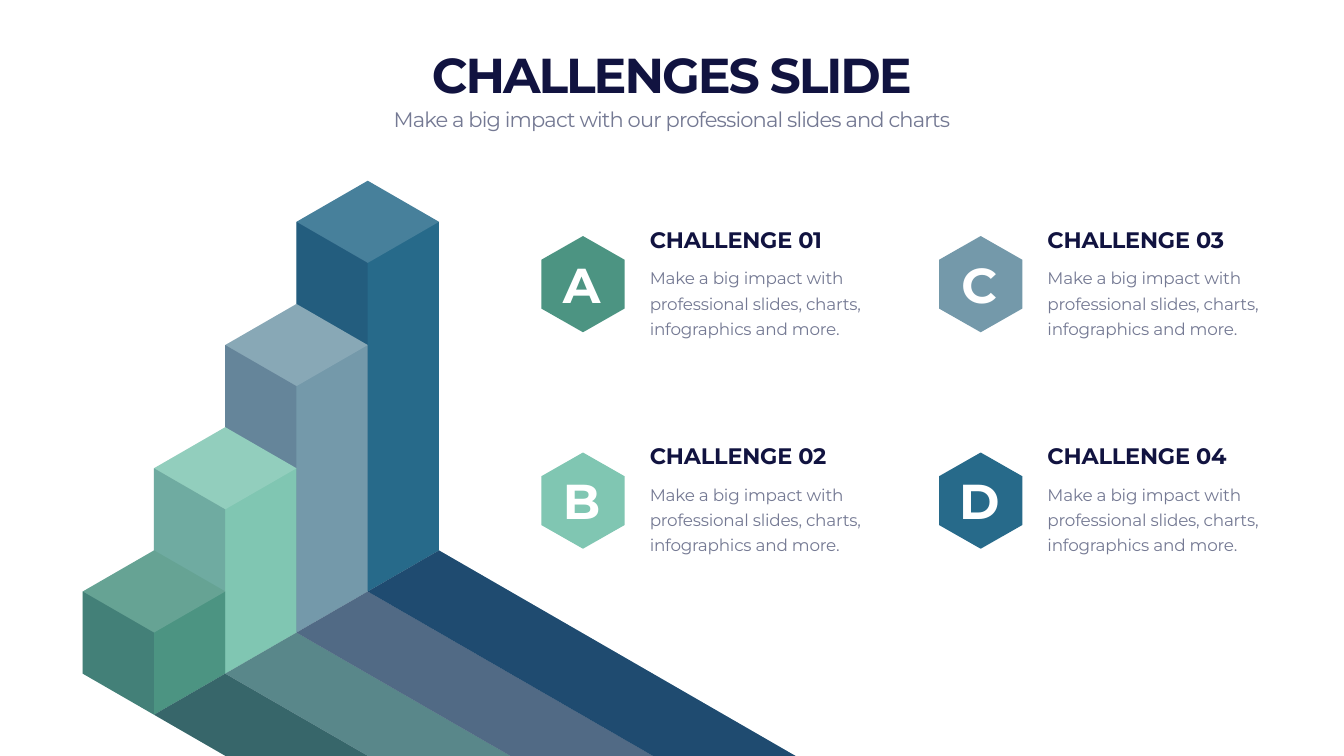
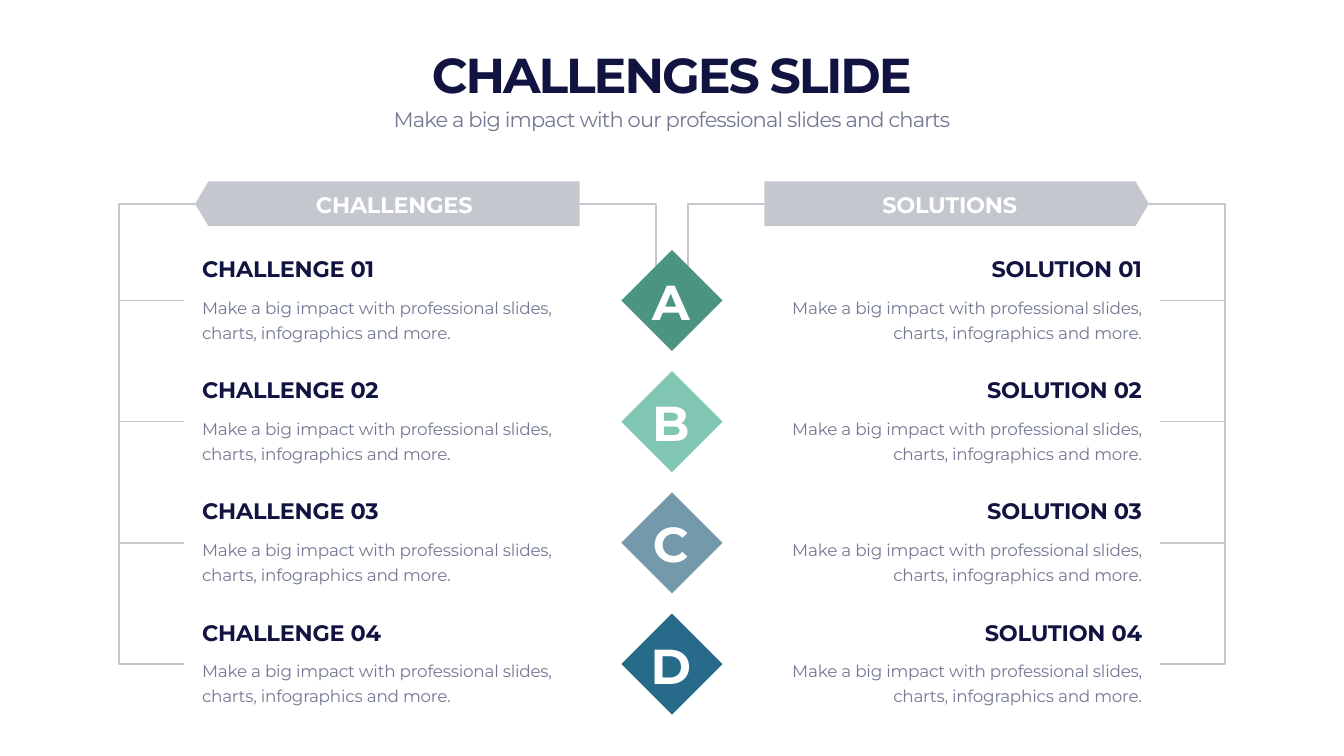
from lxml import etree
from pptx import Presentation
from pptx import util as u
from pptx.dml.color import RGBColor
from pptx.enum import shapes, text
from pptx.oxml import ns

NAVY = RGBColor(0x11, 0x13, 0x40)
GREY = RGBColor(0x74, 0x79, 0x93)
SILVER = RGBColor(0xC4, 0xC8, 0xCE)
WHITE = RGBColor(0xFF, 0xFF, 0xFF)
GREEN = RGBColor(0x4C, 0x94, 0x82)
MINT = RGBColor(0x80, 0xC6, 0xB2)
SLATE = RGBColor(0x74, 0x99, 0xAA)
BLUE = RGBColor(0x27, 0x6A, 0x8A)
ITEMS = [("A", GREEN), ("B", MINT), ("C", SLATE), ("D", BLUE)]

FONT = "Montserrat"
SLIDE_W, SLIDE_H = 67.72, 38.1
HALF_W, HALF_H = 3.59, 2.07
BODY = "Make a big impact with professional slides, charts, infographics and more."

LEFT, CENTER, RIGHT = text.PP_ALIGN.LEFT, text.PP_ALIGN.CENTER, text.PP_ALIGN.RIGHT
TOP, MIDDLE, BOTTOM = text.MSO_ANCHOR.TOP, text.MSO_ANCHOR.MIDDLE, text.MSO_ANCHOR.BOTTOM


def box(x, y, w, h):
    """Convert a rectangle in centimetres to lengths."""
    return u.Cm(x), u.Cm(y), u.Cm(w), u.Cm(h)


def mirror(x, w=0):
    """Return the left edge of a span reflected about the slide's middle."""
    return SLIDE_W - x - w


def paint(sp, color, alpha=None):
    """Fill a shape without outline or shadow, optionally translucent."""
    sp.shadow.inherit = False
    sp.line.fill.background()
    sp.fill.solid()
    sp.fill.fore_color.rgb = color
    if alpha is not None:
        clr = sp._element.spPr.find(".//" + ns.qn("a:srgbClr"))
        etree.SubElement(clr, ns.qn("a:alpha"), val=str(alpha * 1000))


def add_text(s, words, x, y, w, h, size, color, bold=False, spacing=-0.3,
             align=LEFT, anchor=TOP, leading=None):
    """Add a one-paragraph text box."""
    tf = s.shapes.add_textbox(*box(x, y, w, h)).text_frame
    tf.word_wrap = True
    tf.auto_size = text.MSO_AUTO_SIZE.SHAPE_TO_FIT_TEXT
    tf.vertical_anchor = anchor
    tf.text = words
    p = tf.paragraphs[0]
    p.alignment = align
    if leading:
        p.line_spacing = u.Pt(leading)
    r = p.runs[0]
    r.font.name, r.font.size, r.font.bold = FONT, u.Pt(size), bold
    r.font.color.rgb = color
    r._r.get_or_add_rPr().set("spc", str(round(spacing * 100)))


def add_header(s):
    """Add the title and subtitle."""
    add_text(s, "CHALLENGES SLIDE", 4.22, 2.08, 59.27, 3.25, 70, NAVY, True, -2.9,
             CENTER, BOTTOM)
    add_text(s, "Make a big impact with our professional slides and charts",
             4.22, 5.23, 59.27, 1.55, 30, GREY, False, -1.2, CENTER)


def add_entry(s, heading, x, y, w, body_h, align=LEFT):
    """Add a heading with its description underneath."""
    add_text(s, heading, x, y, w, 1.63, 32, NAVY, True, align=align, anchor=BOTTOM)
    add_text(s, BODY, x, y + 1.9, w, body_h, 24, GREY, align=align, leading=36)


def add_letter(s, letter, x, y):
    """Add a large white badge letter."""
    add_text(s, letter, x, y, 3.51, 3.25, 70, WHITE, True, -2.9, CENTER, MIDDLE)


def add_path(s, points, closed):
    """Draw straight segments through points given in centimetres."""
    start, *rest = [(u.Cm(x), u.Cm(y)) for x, y in points]
    builder = s.shapes.build_freeform(*start)
    builder.add_line_segments(rest, close=closed)
    return builder.convert_to_shape()


def add_polygon(s, points, color, alpha=None):
    """Add a filled polygon."""
    paint(add_path(s, points, True), color, alpha)


def add_polyline(s, points):
    """Add an open silver line with corners."""
    sp = add_path(s, points, False)
    sp.shadow.inherit = False
    sp.fill.background()
    sp.line.color.rgb = SILVER
    sp.line.width = u.Pt(2)


def add_tick(s, x1, x2, y):
    """Add a horizontal silver connector."""
    cn = s.shapes.add_connector(shapes.MSO_CONNECTOR.STRAIGHT,
                                u.Cm(x1), u.Cm(y), u.Cm(x2), u.Cm(y))
    cn.line.color.rgb = SILVER
    cn.line.width = u.Pt(2)
    etree.SubElement(cn._element.spPr, ns.qn("a:effectLst"))


def column_base(i):
    """Return the front bottom corner of a column."""
    return 7.76 + HALF_W * i, 36.02 - HALF_H * i


def add_column(s, i, color):
    """Add an isometric column with a light top and a dark left side."""
    x, base = column_base(i)
    left, right = x - HALF_W, x + HALF_W
    front = base - 2 * HALF_H * (i + 1)
    edge, back, foot = front - HALF_H, front - 2 * HALF_H, base - HALF_H
    add_polygon(s, [(left, edge), (left, foot), (x, base), (right, foot),
                    (right, edge), (x, back)], color)
    add_polygon(s, [(right, edge), (x, back), (left, edge), (x, front)], WHITE, 15)
    add_polygon(s, [(left, edge), (left, foot), (x, base), (x, front)], NAVY, 15)


def add_floor(s, first, last, color, alpha=None):
    """Add the floor strip running from columns first to last off the slide."""
    near, far = column_base(first), column_base(last + 1)
    ends = [(x + (SLIDE_H - y) * HALF_W / HALF_H, SLIDE_H) for x, y in (near, far)]
    add_polygon(s, [near, *ends, far], color, alpha)


def add_hexagon(s, x, y, color):
    """Add an upright hexagon badge."""
    sp = s.shapes.add_shape(shapes.MSO_SHAPE.HEXAGON, *box(x, y, 4.85, 4.2))
    sp.rotation = 270
    sp.adjustments[0] = 0.285
    paint(sp, color)


def add_banner(s, label, flipped):
    """Add a column banner pointing outwards."""
    x, label_x = 9.83, 13.39
    if not flipped:
        x, label_x = mirror(x, 19.38), mirror(label_x, 12.95)
    sp = s.shapes.add_shape(shapes.MSO_SHAPE.PENTAGON, *box(x, 9.14, 19.38, 2.26))
    sp.adjustments[0] = 0.3
    paint(sp, SILVER)
    if flipped:
        sp._element.spPr.xfrm.set("flipH", "1")
    add_text(s, label, label_x, 9.47, 12.95, 1.63, 32, WHITE, True,
             align=CENTER, anchor=MIDDLE)


def add_side(s, name, on_left):
    """Add one side: banner, bracket lines and four entries."""
    def place(x, w=0):
        return x if on_left else mirror(x, w)

    step, bar_y, first_y = 6.11, 10.29, 15.14
    rail, tick = place(6), place(9.25)
    add_polyline(s, [(place(33.05), 13.77), (place(33.05), bar_y), (place(29.21), bar_y)])
    add_polyline(s, [(tick, first_y + 3 * step), (rail, first_y + 3 * step),
                     (rail, bar_y), (place(9.83), bar_y)])
    for i in range(3):
        add_tick(s, rail, tick, first_y + i * step)
    add_banner(s, name + "S", on_left)
    for i in range(4):
        add_entry(s, f"{name} {i + 1:02}", place(9.93, 19.61), 12.7 + i * step,
                  19.61, 2.72, LEFT if on_left else RIGHT)


def build_columns_slide(s):
    """Build the isometric columns with four challenges."""
    add_header(s)
    for i in reversed(range(4)):
        add_column(s, i, ITEMS[i][1])
    for i, (letter, color) in enumerate(ITEMS):
        add_floor(s, i, i, color)
    add_floor(s, 0, 3, NAVY, 35)
    for i, (letter, color) in enumerate(ITEMS):
        col, row = divmod(i, 2)
        dx, dy = 20.04 * col, 10.91 * row
        add_hexagon(s, 26.95 + dx, 12.22 + dy, color)
        add_letter(s, letter, 27.55 + dx, 12.67 + dy)
        add_entry(s, f"CHALLENGE {i + 1:02}", 32.49 + dx, 11.23 + dy, 12.34, 3.99)


def build_pairs_slide(s):
    """Build the challenges and solutions around lettered diamonds."""
    add_header(s)
    add_side(s, "CHALLENGE", True)
    add_side(s, "SOLUTION", False)
    for i, (letter, color) in enumerate(ITEMS):
        dy = 6.11 * i
        sp = s.shapes.add_shape(shapes.MSO_SHAPE.DIAMOND, *box(31.31, 12.59 + dy, 5.1, 5.1))
        paint(sp, color)
        add_letter(s, letter, 32.05, 13.54 + dy)


def main():
    """Build and save the presentation."""
    prs = Presentation()
    prs.slide_width, prs.slide_height = u.Cm(SLIDE_W), u.Cm(SLIDE_H)
    for build in (build_columns_slide, build_pairs_slide):
        build(prs.slides.add_slide(prs.slide_layouts[6]))
    prs.save("out.pptx")


if __name__ == "__main__":
    main()
